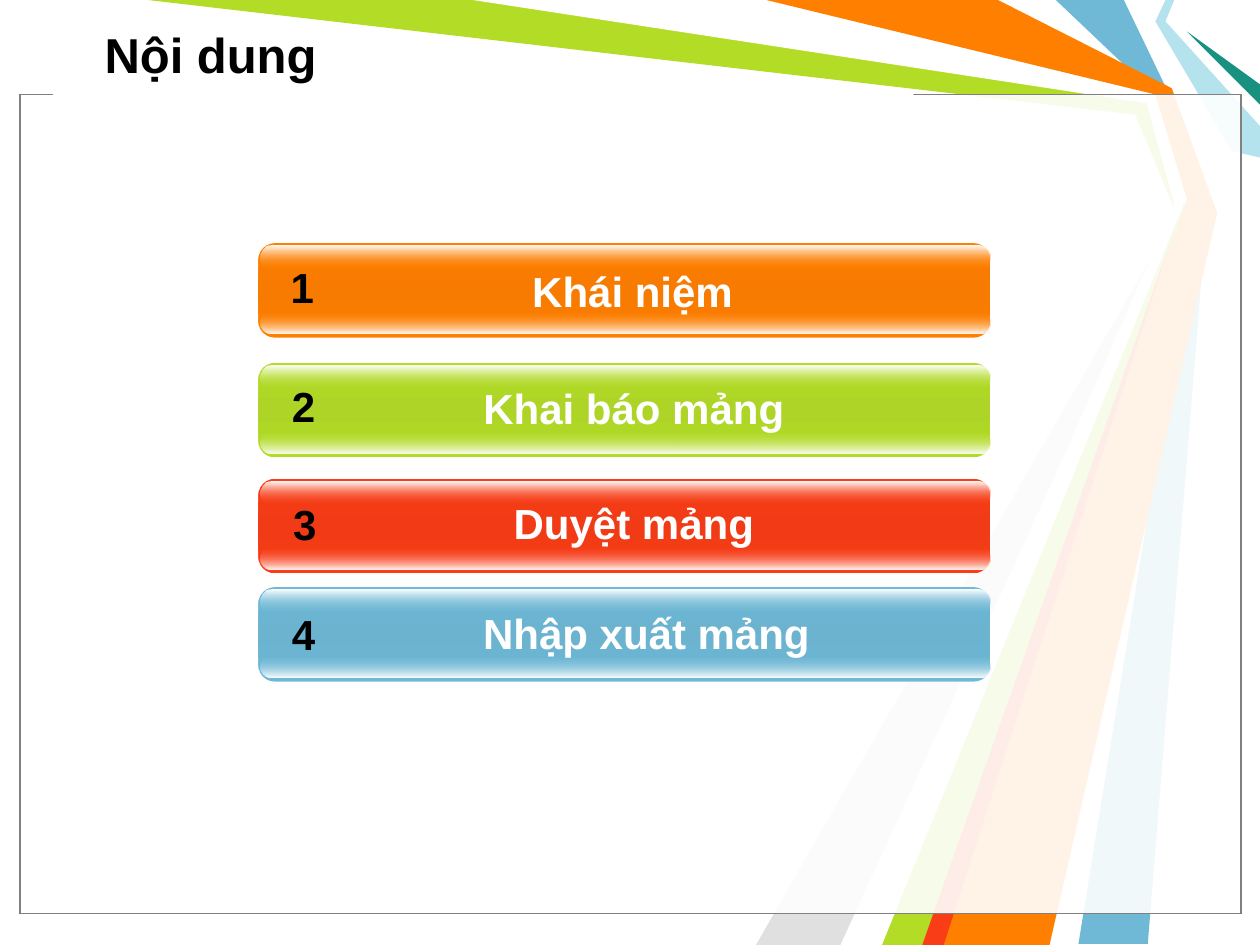
from lxml.etree import SubElement
from pptx import Presentation
from pptx.dml.color import RGBColor
from pptx.enum.shapes import MSO_SHAPE
from pptx.enum.text import MSO_ANCHOR, MSO_AUTO_SIZE, PP_ALIGN
from pptx.oxml import parse_xml
from pptx.oxml.ns import nsdecls, qn
from pptx.util import Inches, Pt

WHITE, BLACK, GRAY = "FFFFFF", "000000", "808080"
BLUE, GREEN, ORANGE, RED = "6FB9D7", "B3DC27", "FF7F00", "F93D17"

RAYS = [
    (BLUE, [(8.92, 0), (9.29, 0.77), (9.58, 1.67), (9.11, 7.49), (8.56, 7.49),
            (9.5, 1.67), (9.17, 0.75), (8.38, 0)]),
    (GREEN, [(1.17, 0), (3.83, 0), (9.14, 0.78), (9.42, 1.69), (7.42, 7.5),
             (6.92, 7.5), (9.35, 1.73), (9.01, 0.91)]),
    ("E0E0E0", [(6.67, 7.5), (9.27, 1.81), (6, 7.5)]),
    (WHITE, [(3.75, 0), (9.1, 0.82), (9.32, 1.62), (6.75, 7.5), (7, 7.5),
             (9.41, 1.58), (9.17, 0.75), (6, 0)]),
    ("B4E3EE", [(9.25, 0), (9.17, 0.17), (9.78, 1.2), (10, 1.25), (10, 1),
                (9.25, 0.17), (9.32, 0)]),
    ("189180", [(10, 0.83), (9.42, 0.25), (10, 0.67)]),
    (ORANGE, [(6.08, 0), (7.92, 0), (9.3, 0.7), (9.66, 1.69), (8.33, 7.5),
              (7.33, 7.5), (9.42, 1.58), (9.17, 0.75)]),
    (RED, [(7.32, 7.5), (9.32, 1.83), (7.49, 7.5)]),
]

# number, number position, label, label position, bar top, edge and middle colours
ITEMS = [
    ("1", (2.19, 2.03), "Khái niệm", (2.56, 2.06), 1.93, ORANGE, "F67B00"),
    ("2", (2.2, 2.97), "Khai báo mảng", (2.57, 2.99), 2.88, GREEN, "ADD426"),
    ("3", (2.21, 3.91), "Duyệt mảng", (2.57, 3.9), 3.8, RED, "F03B16"),
    ("4", (2.2, 4.78), "Nhập xuất mảng", (2.67, 4.77), 4.66, BLUE, "6BB3CF"),
]


def rgb(color):
    return RGBColor.from_string(color)


def paint(sp, color, opacity=100):
    sp.shadow.inherit = False
    sp.fill.solid()
    sp.fill.fore_color.rgb = rgb(color)
    sp.line.fill.background()
    if opacity < 100:
        clr = sp.fill._xPr.find(qn("a:solidFill"))[0]
        SubElement(clr, qn("a:alpha")).set("val", str(opacity * 1000))


def paint_gradient(sp, stops):
    """Fill from top to bottom with (position %, colour, opacity %) stops."""
    paint(sp, WHITE)
    gs = "".join(
        f'<a:gs pos="{pos * 1000}"><a:srgbClr val="{color}">'
        f'<a:alpha val="{opacity * 1000}"/></a:srgbClr></a:gs>'
        for pos, color, opacity in stops)
    grad = parse_xml(f'<a:gradFill {nsdecls("a")} rotWithShape="1"><a:gsLst>{gs}'
                     '</a:gsLst><a:lin ang="5400000" scaled="1"/></a:gradFill>')
    solid = sp.fill._xPr.find(qn("a:solidFill"))
    solid.getparent().replace(solid, grad)


def add_ray(shapes, color, points):
    points = [(Inches(x), Inches(y)) for x, y in points]
    builder = shapes.build_freeform(*points[0], scale=1.0)
    builder.add_line_segments(points[1:], close=True)
    paint(builder.convert_to_shape(), color)


def add_rect(shapes, x, y, w, h, opacity=100, line=None):
    sp = shapes.add_shape(MSO_SHAPE.RECTANGLE, Inches(x), Inches(y), Inches(w), Inches(h))
    paint(sp, WHITE, opacity)
    if line:
        sp.line.color.rgb = rgb(line)
        sp.line.width = Pt(0.75)


def add_pill(shapes, x, y, w, h, rounding, stops):
    sp = shapes.add_shape(MSO_SHAPE.ROUNDED_RECTANGLE,
                          Inches(x), Inches(y), Inches(w), Inches(h))
    sp.adjustments[0] = rounding
    paint_gradient(sp, stops)


def add_glossy_bar(shapes, top, edge, middle):
    group = shapes.add_group_shape().shapes
    add_pill(group, 2.05, top, 5.81, 0.75, 0.175,
             [(0, edge, 100), (50, middle, 100), (100, edge, 100)])
    add_pill(group, 2.07, top + 0.54, 5.79, 0.18, 0.5,
             [(0, edge, 0), (100, WHITE, 100)])
    add_pill(group, 2.07, top + 0.02, 5.79, 0.18, 0.5,
             [(0, WHITE, 100), (100, edge, 0)])


def write(tf, text, size, color, align):
    p = tf.paragraphs[0]
    p.alignment = align
    r = p.add_run()
    r.text = text
    r.font.name = "Arial"
    r.font.size = Pt(size)
    r.font.bold = True
    r.font.color.rgb = rgb(color)


def add_text(shapes, position, width, text, color):
    x, y = position
    tf = shapes.add_textbox(Inches(x), Inches(y), Inches(width), Inches(0.5)).text_frame
    tf.word_wrap = True
    tf.auto_size = MSO_AUTO_SIZE.SHAPE_TO_FIT_TEXT
    write(tf, text, 24, color, PP_ALIGN.CENTER)


def set_title(slide, text):
    title = slide.shapes.title
    title.left, title.top = Inches(0.73), Inches(0.08)
    title.width, title.height = Inches(9.11), Inches(0.69)
    tf = title.text_frame
    tf.auto_size = MSO_AUTO_SIZE.NONE
    tf.vertical_anchor = MSO_ANCHOR.MIDDLE
    write(tf, text, 28, BLACK, PP_ALIGN.LEFT)
    title._element.getparent().append(title._element)  # bring to front


def main():
    prs = Presentation()
    prs.slide_width, prs.slide_height = Inches(10), Inches(7.5)
    s = prs.slides.add_slide(prs.slide_layouts[5])
    for color, points in RAYS:
        add_ray(s.shapes, color, points)
    for line in (BLACK, GRAY):
        add_rect(s.shapes, 0.16, 0.75, 9.69, 6.5, opacity=69, line=line)
    add_rect(s.shapes, 0.42, 0.74, 6.83, 0.17)
    set_title(s, "Nội dung")
    for number, number_at, label, label_at, top, edge, middle in ITEMS:
        add_glossy_bar(s.shapes, top, edge, middle)
        add_text(s.shapes, label_at, 4.92, label, WHITE)
        add_text(s.shapes, number_at, 0.42, number, BLACK)
    prs.save("out.pptx")


if __name__ == "__main__":
    main()
